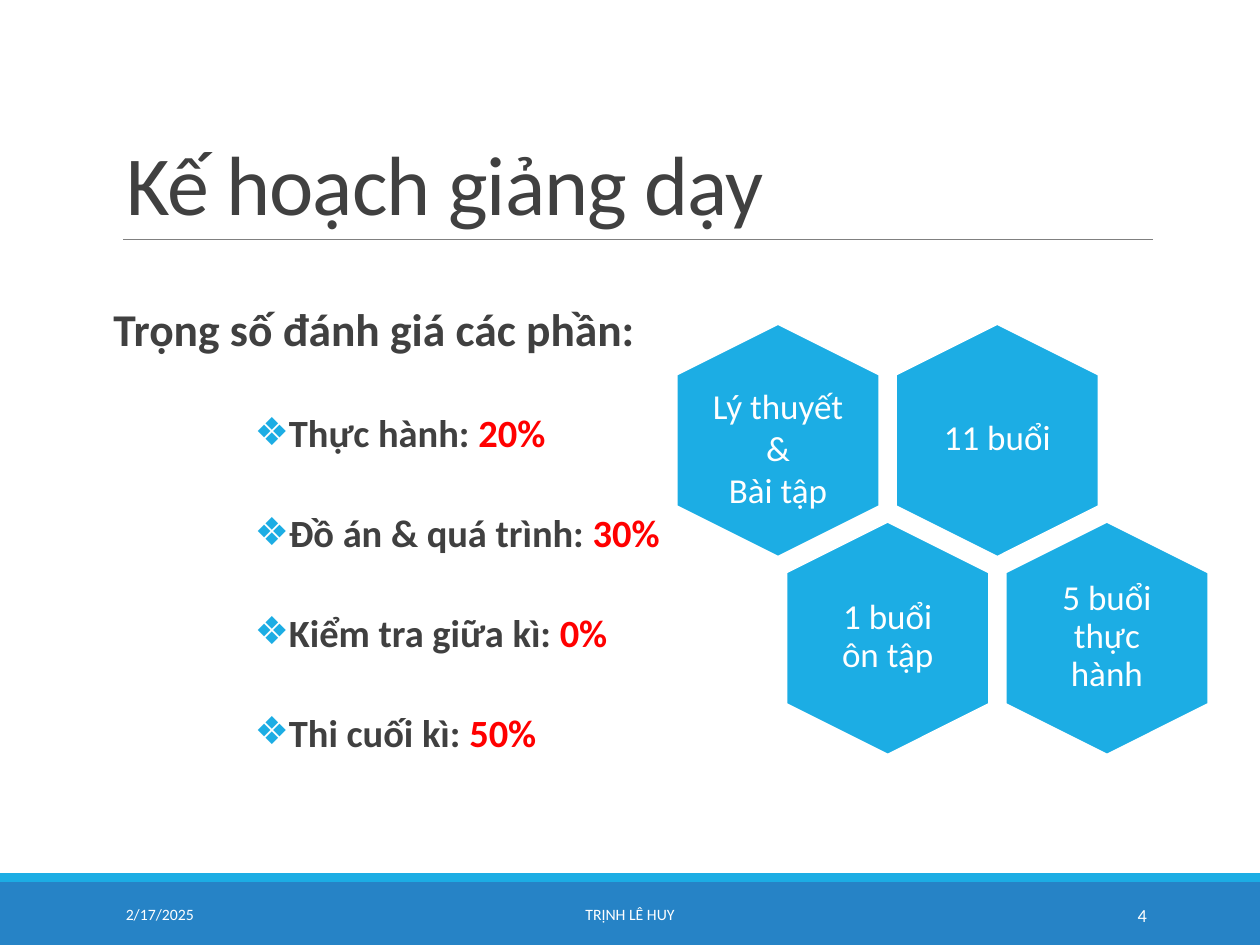
from dataclasses import dataclass

import lxml.etree
import pptx
import pptx.dml.color
import pptx.enum.shapes
import pptx.enum.text
import pptx.oxml.ns
import pptx.util

Inches = pptx.util.Inches
Pt = pptx.util.Pt
Align = pptx.enum.text.PP_ALIGN
Anchor = pptx.enum.text.MSO_ANCHOR
Shape = pptx.enum.shapes.MSO_SHAPE
qn = pptx.oxml.ns.qn


@dataclass(frozen=True)
class Theme:
    font: str = "Calibri"
    accent: str = "1CADE4"
    band: str = "2683C6"
    ink: str = "404040"
    rule: str = "808080"
    white: str = "FFFFFF"
    highlight: str = "FF0000"
    title_size: float = 48
    heading_size: float = 26
    item_size: float = 22
    hexagon_size: float = 20
    footer_size: float = 9
    number_size: float = 10.5


def rgb(color):
    return pptx.dml.color.RGBColor.from_string(color)


class SlideBuilder:
    def __init__(self, slide, theme):
        self.slide = slide
        self.theme = theme

    def run(self, paragraph, text, size, color, bold=False):
        run = paragraph.add_run()
        run.text = text
        font = run.font
        font.name = self.theme.font
        font.size = Pt(size)
        font.bold = bold
        font.color.rgb = rgb(color)
        return run

    def place(self, shape, left, top, width, height):
        shape.left, shape.top = Inches(left), Inches(top)
        shape.width, shape.height = Inches(width), Inches(height)

    def title(self, text, box):
        title = self.slide.shapes.title
        self.place(title, *box)
        frame = title.text_frame
        frame.auto_size = pptx.enum.text.MSO_AUTO_SIZE.NONE
        frame.vertical_anchor = Anchor.BOTTOM
        paragraph = frame.paragraphs[0]
        paragraph.alignment = Align.LEFT
        paragraph.line_spacing = 0.85
        run = self.run(paragraph, text, self.theme.title_size, self.theme.ink)
        run.font._element.set("spc", "-50")

    def bullet(self, paragraph, first_indent, mark=None):
        properties = paragraph._p.get_or_add_pPr()
        properties.set("marL", str(Inches(0.5)))
        properties.set("indent", str(Inches(first_indent)))
        if mark is None:
            lxml.etree.SubElement(properties, qn("a:buNone"))
            return
        bullet_color = lxml.etree.SubElement(properties, qn("a:buClr"))
        lxml.etree.SubElement(bullet_color, qn("a:srgbClr"), val=self.theme.accent)
        lxml.etree.SubElement(properties, qn("a:buChar"), char=mark)

    def weights(self, heading, items, box):
        theme = self.theme
        body = self.slide.placeholders[1]
        self.place(body, *box)
        frame = body.text_frame
        frame.auto_size = pptx.enum.text.MSO_AUTO_SIZE.NONE
        frame.margin_left = frame.margin_right = 0
        first = frame.paragraphs[0]
        self.bullet(first, -0.5)
        self.run(first, heading, theme.heading_size, theme.ink, bold=True)
        for label, share in items:
            paragraph = frame.add_paragraph()
            self.bullet(paragraph, 0.62, "❖")
            self.run(paragraph, label, theme.item_size, theme.ink, bold=True)
            self.run(paragraph, share, theme.item_size, theme.highlight, bold=True)
        for paragraph in frame.paragraphs:
            paragraph.line_spacing = 0.8
            paragraph.space_before = Pt(0 if paragraph._p is first._p else 12)
            paragraph.space_after = Pt(24)

    def text(self, lines, box, size, align, margin=None, spacing=1.0):
        textbox = self.slide.shapes.add_textbox(*map(Inches, box))
        frame = textbox.text_frame
        frame.word_wrap = True
        frame.vertical_anchor = Anchor.MIDDLE
        if margin is not None:
            frame.margin_left = frame.margin_right = Inches(margin)
            frame.margin_top = frame.margin_bottom = Inches(margin)
        for index, line in enumerate(lines):
            paragraph = frame.add_paragraph() if index else frame.paragraphs[0]
            paragraph.alignment = align
            paragraph.line_spacing = spacing
            self.run(paragraph, line, size, self.theme.white)

    def shape(self, preset, box, fill):
        shape = self.slide.shapes.add_shape(preset, *map(Inches, box))
        shape.shadow.inherit = False
        shape.fill.solid()
        shape.fill.fore_color.rgb = rgb(fill)
        shape.line.fill.background()
        return shape

    def hexagon(self, left, top):
        hexagon = self.shape(Shape.HEXAGON, (left, top, 1.85, 1.61), self.theme.accent)
        hexagon.rotation = 90
        hexagon.adjustments[0] = 0.25
        hexagon.adjustments[1] = 1.155
        hexagon.line.color.rgb = rgb(self.theme.white)
        hexagon.line.width = Pt(1.25)

    def rule(self, left, right, y):
        rule = self.slide.shapes.add_connector(
            pptx.enum.shapes.MSO_CONNECTOR.STRAIGHT,
            Inches(left), Inches(y), Inches(right), Inches(y))
        rule.line.color.rgb = rgb(self.theme.rule)
        rule.line.width = Pt(0.5)
        lxml.etree.SubElement(rule._element.spPr, qn("a:effectLst"))


def main():
    theme = Theme()
    deck = pptx.Presentation()
    deck.slide_width, deck.slide_height = Inches(10), Inches(7.5)
    builder = SlideBuilder(deck.slides.add_slide(deck.slide_layouts[1]), theme)

    builder.shape(Shape.RECTANGLE, (0, 7, 10, 0.5), theme.band)
    builder.shape(Shape.RECTANGLE, (0, 6.93, 10, 0.07), theme.accent)
    builder.rule(0.98, 9.15, 1.9)
    builder.title("Kế hoạch giảng dạy", (0.9, 0.31, 8.25, 1.59))
    builder.weights(
        "Trọng số đánh giá các phần:",
        [("Thực hành: ", "20%"), ("Đồ án & quá trình: ", "30%"),
         ("Kiểm tra giữa kì: ", "0%"), ("Thi cuối kì: ", "50%")],
        (0.9, 2.42, 8.43, 4.08))

    column_step, row_shift = 1.74, 0.87
    sessions = [
        (0, 0, ["Lý thuyết", "&", "Bài tập"], 0, 1.0),
        (0, 1, ["11 buổi"], 0.08, 0.9),
        (1, 0, ["1 buổi ôn tập"], 0.08, 0.9),
        (1, 1, ["5 buổi thực hành"], 0, 0.9),
    ]
    for row, column, lines, margin, spacing in sessions:
        left = 5.25 + column * column_step + row * row_shift
        top = 2.69 + row * 1.57
        builder.hexagon(left, top)
        label_top = top + (0.23 if len(lines) > 1 else 0.16)
        builder.text(lines, (left + 0.37, label_top, 1.11, 1.27),
                     theme.hexagon_size, Align.CENTER, margin, spacing)

    footers = [
        ("2/17/2025", 0.9, 2.03, theme.footer_size, Align.LEFT),
        ("TRỊNH LÊ HUY", 3.02, 3.96, theme.footer_size, Align.CENTER),
        ("4", 8.12, 1.08, theme.number_size, Align.RIGHT),
    ]
    for text, left, width, size, align in footers:
        builder.text([text], (left, 7.06, width, 0.4), size, align)

    deck.save("out.pptx")


if __name__ == "__main__":
    main()
